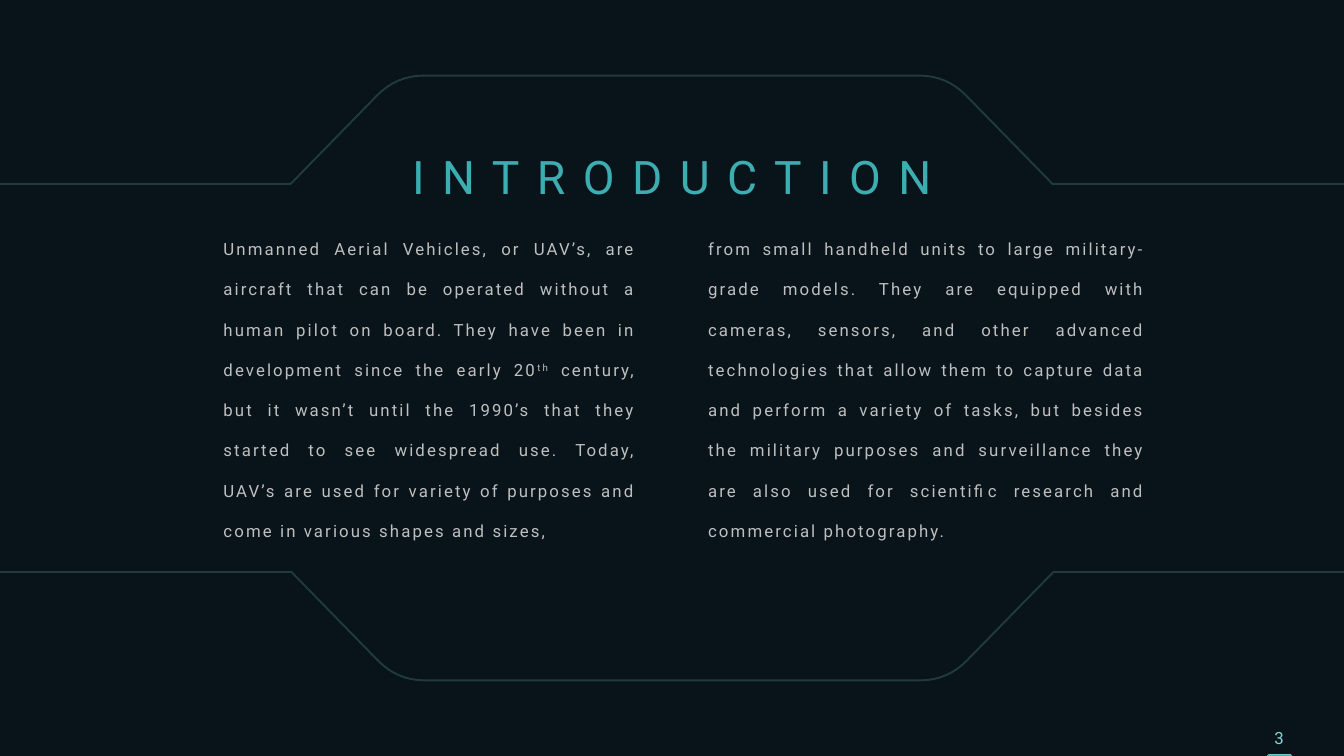
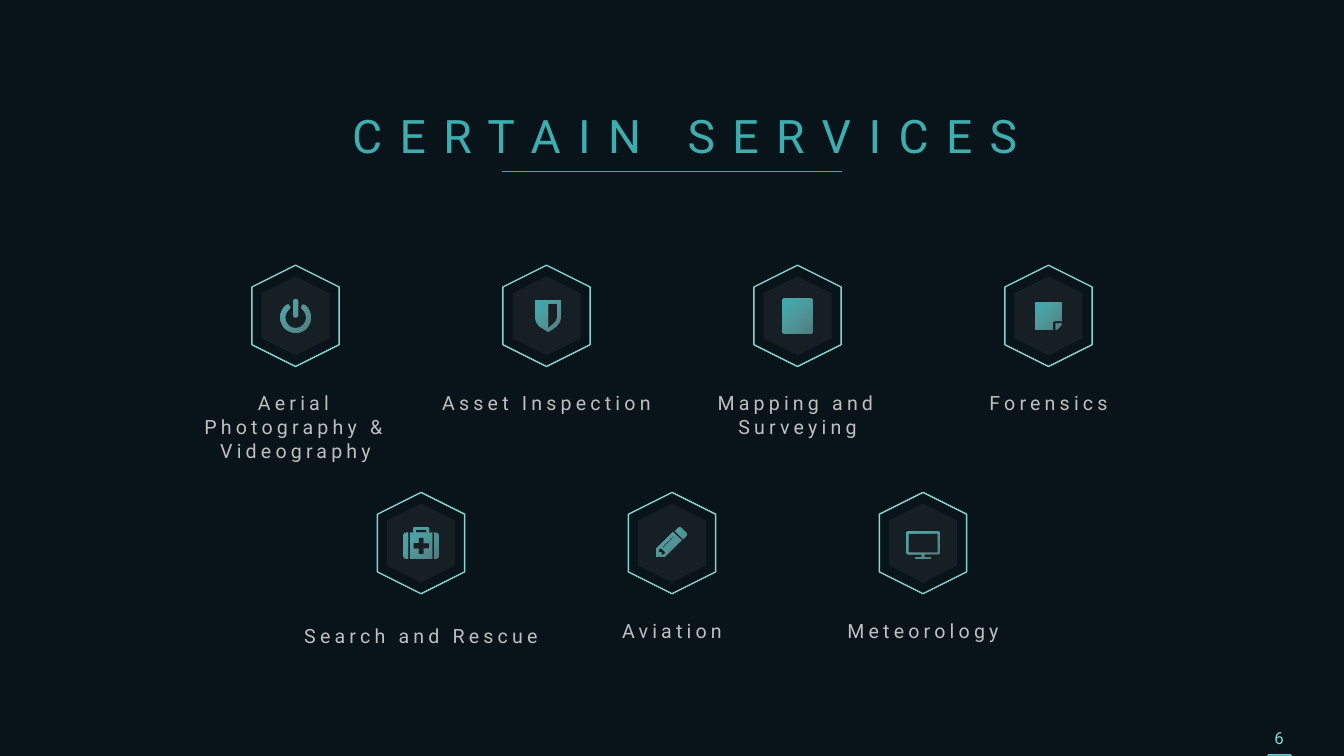
"""Builds the introduction and services slides of a drone deck."""
from math import cos, dist, radians, sin

from lxml.etree import SubElement
from pptx import Presentation
from pptx.dml.color import RGBColor
from pptx.enum.shapes import MSO_CONNECTOR as Link, MSO_SHAPE as Shape
from pptx.enum.text import MSO_ANCHOR as Anchor, MSO_AUTO_SIZE as Fit, PP_ALIGN as Align
from pptx.oxml.ns import qn
from pptx.util import Emu, Pt

COLS, ROWS = 160, 90
CELL = Pt(12)
DOT = CELL * 0.06
NIGHT, TEAL, AQUA, SILVER, SLATE = "08141A", "3CAEB2", "86D4D6", "BFBFBF", "404040"
HEAD = (TEAL, AQUA, 45)
GLOW = (TEAL, AQUA, 45)
PAGE = (AQUA, TEAL, 270, 0.23)
RIM = (AQUA, TEAL, 90, 0, 0.85)


def paint(fill, first, last=None, angle=0, start=0, end=1):
    """Fill with one colour, or with a gradient between two."""
    if last is None:
        fill.solid()
        fill.fore_color.rgb = RGBColor.from_string(first)
        return
    fill.gradient()
    fill.gradient_angle = 360 - angle
    for stop, tone, spot in zip(fill.gradient_stops, (first, last), (start, end)):
        stop.color.rgb = RGBColor.from_string(tone)
        stop.position = spot


def write(box, at, text, size, gap, look, align=Align.CENTER, pitch=1):
    """Place a box and set its text; a bar starts or ends a superscript."""
    box.left, box.top, box.width, box.height = [Emu(int(v * CELL)) for v in at]
    frame = box.text_frame
    frame.word_wrap = True
    frame.auto_size = Fit.NONE
    frame.vertical_anchor = Anchor.TOP
    para = frame.paragraphs[0]
    first, *rest = text.split("|")
    para.text = first
    for part in rest:
        para.add_run().text = part
    props = para._p.get_or_add_pPr()
    props.set("marL", "0")
    props.set("indent", "0")
    SubElement(props, qn("a:buNone"))
    para.alignment = align
    para.line_spacing = pitch
    para.space_before = Pt(0)
    for i, run in enumerate(para.runs):
        run.font.name = "Roboto"
        run.font.size = Pt(size)
        paint(run.font.fill, *look)
        mark = run._r.get_or_add_rPr()
        mark.set("spc", str(gap * 100))
        if i % 2:
            mark.set("baseline", "30000")
    return para


prs = Presentation()
prs.slide_width, prs.slide_height = COLS * CELL, ROWS * CELL
paint(prs.slide_master.background.fill, NIGHT)
intro = prs.slides.add_slide(prs.slide_layouts[3])
work = prs.slides.add_slide(prs.slide_layouts[5])

forms, faint = [], []
rim = [[(150.8, 90), (151.2, 89.75, 0.4), (153.5, 89.75, 0.4), (153.9, 90)]]
heads = (
    (intro, "INTRODUCTION", (26, 17.4, 108, 7.26), "3"),
    (work, "CERTAIN SERVICES", (32.1, 12.48, 98.9, 7.26), "6"),
)
for slide, title, at, page in heads:
    write(slide.shapes.title, at, title, 66, 25, HEAD)
    box = slide.shapes.add_textbox(0, 0, 0, 0)
    para = write(box, (149.46, 86.28, 5.64, 3), page, 24, 3, PAGE)
    faint.append((para.runs[0]._r, 20))
    forms.append((slide, 0, 0, CELL, rim, RIM))

texts = (
    (26, 50.3, "Unmanned Aerial Vehicles, or UAV’s, are aircraft that can be operated "
     "without a human pilot on board. They have been in development since the early "
     "20|th| century, but it wasn’t until the 1990’s that they started to see "
     "widespread use. Today, UAV’s are used for variety of purposes and come in "
     "various shapes and sizes,"),
    (83.7, 53.2, "from small handheld units to large military-grade models. They are "
     "equipped with cameras, sensors, and other advanced technologies that allow them "
     "to capture data and perform a variety of tasks, but besides the military "
     "purposes and surveillance they are also used for scientific research and "
     "commercial photography."),
)
for i, (left, wide, text) in enumerate(texts, 1):
    write(intro.placeholders[i], (left, 25.7, wide, 38.7), text, 24, 3, (SILVER,),
          Align.JUSTIFY, 2)

half = [(-0.9, 21.9), (34.6, 21.9), (47.2, 9, 3.3), (112.7, 9, 3.3), (125.3, 21.9),
        (160.9, 21.9)]
turn = [(COLS - x, ROWS - y, *bend) for x, y, *bend in half]
forms.append((intro, 0, 0, CELL, [half + turn], None))

rule = work.shapes.add_connector(
    Link.STRAIGHT, *[int(v * CELL) for v in (59.8, 20.4, 100.2, 20.4)])
paint(rule.line.fill, TEAL)
rule.line.width = Pt(2)
SubElement(rule._element.spPr, qn("a:effectLst"))

arc = range(37, 324, 11)
ring = ([(30, a) for a in arc] + [(28.6, 331), (21.5, 332)]
        + [(20, a) for a in reversed(arc)] + [(21.5, 28), (28.6, 29)])
power = [
    [(r * sin(radians(a)), 3 - r * cos(radians(a))) for r, a in ring],
    [(-5, -32, 5), (5, -32, 5), (5, 3, 5), (-5, 3, 5)],
]
shield = [
    [(-22, -30, 2), (28, -30, 2), (28, 3), (25, 12), (19, 20), (12, 25), (3, 30.5),
     (-6, 25), (-14, 20), (-20, 12), (-22, 3)],
    [(3, -23), (20, -23), (20, 3), (18, 9), (14, 13), (10, 17), (3, 22.5)],
]
tile = [[(-29, -34, 6), (30, -34, 6), (30, 35, 6), (-29, 35, 6)]]
note = [
    [(13.5, 13.5), (26.5, 13.5), (24.5, 18), (18, 25), (13.5, 26.5)],
    [(-26.5, -26.5, 3), (26.5, -26.5, 3), (26.5, 9.5), (8.5, 9.5, 4), (8.5, 26.5),
     (-26.5, 26.5, 3)],
]
kit = [
    [(-5, -10, 1), (5, -10, 1), (5, 0), (15, 0, 1), (15, 10, 1), (5, 10), (5, 20, 1),
     (-5, 20, 1), (-5, 10), (-15, 10, 1), (-15, 0, 1), (-5, 0)],
    *[[(25 * s, -20), (34.5 * s, -20, 8), (34.5 * s, 30, 8), (25 * s, 30)]
      for s in (1, -1)],
    [(-10, -25), (10, -25), (10, -20), (-10, -20)],
    [(-15, -30, 3), (15, -30, 3), (15, -20), (21, -20), (21, 30), (-21, 30),
     (-21, -20), (-15, -20)],
]
pencil = [
    [(-21, 9), (-25, 12), (-25, 17), (-20, 17), (-20, 22), (-16, 22), (-12, 18)],
    [(3, -14), (-18, 7), (-17, 9), (4, -13)],
    [(2, -22), (19, -6), (-14, 27), (-30, 27), (-30, 10)],
    [(5.5, -23.5), (15, -33, 5), (31, -17, 5), (21.5, -7.5)],
]
screen = [
    [(-29, -17.5, 1), (29, -17.5, 1), (29, 18.5, 1), (-29, 18.5, 1)],
    [(-33.5, -22.5, 5), (33.5, -22.5, 5), (33.5, 22.5, 5), (2.5, 22.5), (2.5, 27.5),
     (15.5, 27.5, 1), (15.5, 31.5, 1), (-15.5, 31.5, 1), (-15.5, 27.5, 1),
     (-2.5, 27.5), (-2.5, 22.5), (-33.5, 22.5, 5)],
]

STEP, RISE = 29.88, 27.05
rows = (
    (("Aerial Photography & Videography", 3, 26.8, 0, power),
     ("Asset Inspection", 1, 26.8, 0, shield),
     ("Mapping and Surveying", 2, 26.8, 0, tile),
     ("Forensics", 1, 26.8, 0, note)),
    (("Search and Rescue", 1, 29.88, 0.6, kit),
     ("Aviation", 1, 26.8, 0, pencil),
     ("Meteorology", 1, 26.8, 0, screen)),
)
for r, row in enumerate(rows):
    y = 37.6 + r * RISE
    for c, (text, lines, wide, drop, icon) in enumerate(row):
        x = COLS / 2 + (c - (len(row) - 1) / 2) * STEP
        group = work.shapes.add_group_shape()
        for w, h in ((9.42, 8.1), (12.06, 10.38)):
            hexa = group.shapes.add_shape(
                Shape.HEXAGON, *[int(v * CELL) for v in (x - w / 2, y - h / 2, w, h)])
            hexa.rotation = 90
            hexa.shadow.inherit = False
            if w < 10:
                paint(hexa.fill, SLATE)
                hexa.line.fill.background()
                faint.append((hexa._element, 26))
            else:
                hexa.fill.background()
                paint(hexa.line.fill, AQUA)
                hexa.line.width = Pt(2)
        at = (x - wide / 2, y + 8.7 + drop, wide, 0.6 + 2.82 * lines)
        write(work.shapes.add_textbox(0, 0, 0, 0), at, text, 28, 6, (SILVER,))
        forms.append((work, x * CELL, y * CELL, DOT, icon, GLOW))

for slide, left, top, unit, loops, look in forms:
    pen = None
    for loop in loops:
        dots = []
        for i, (x, y, *bend) in enumerate(loop):
            if not bend:
                dots.append((x, y))
                continue
            ends = []
            for u, v, *_ in (loop[i - 1], loop[(i + 1) % len(loop)]):
                part = bend[0] / dist((x, y), (u, v))
                ends.append((x + (u - x) * part, y + (v - y) * part))
            (ax, ay), (bx, by) = ends
            for k in range(9):
                t = k / 8
                p, q, s = (1 - t) ** 2, 2 * t * (1 - t), t * t
                dots.append((p * ax + q * x + s * bx, p * ay + q * y + s * by))
        dots = [(left + x * unit, top + y * unit) for x, y in dots]
        if pen is None:
            pen = slide.shapes.build_freeform(*dots[0])
        else:
            pen.move_to(*dots[0])
        pen.add_line_segments(dots[1:], close=True)
    form = pen.convert_to_shape()
    form.shadow.inherit = False
    if look:
        paint(form.fill, *look)
        form.line.fill.background()
    else:
        form.fill.background()
        paint(form.line.fill, AQUA)
        form.line.width = Pt(2.75)
        faint.append((form._element, 20))
    if look == GLOW:
        faint.append((form._element, 50))

for item, share in faint:
    tone = list(item.iter(qn("a:srgbClr")))[-1]
    SubElement(tone, qn("a:alpha"), val=str(share * 1000))

prs.save("out.pptx")
